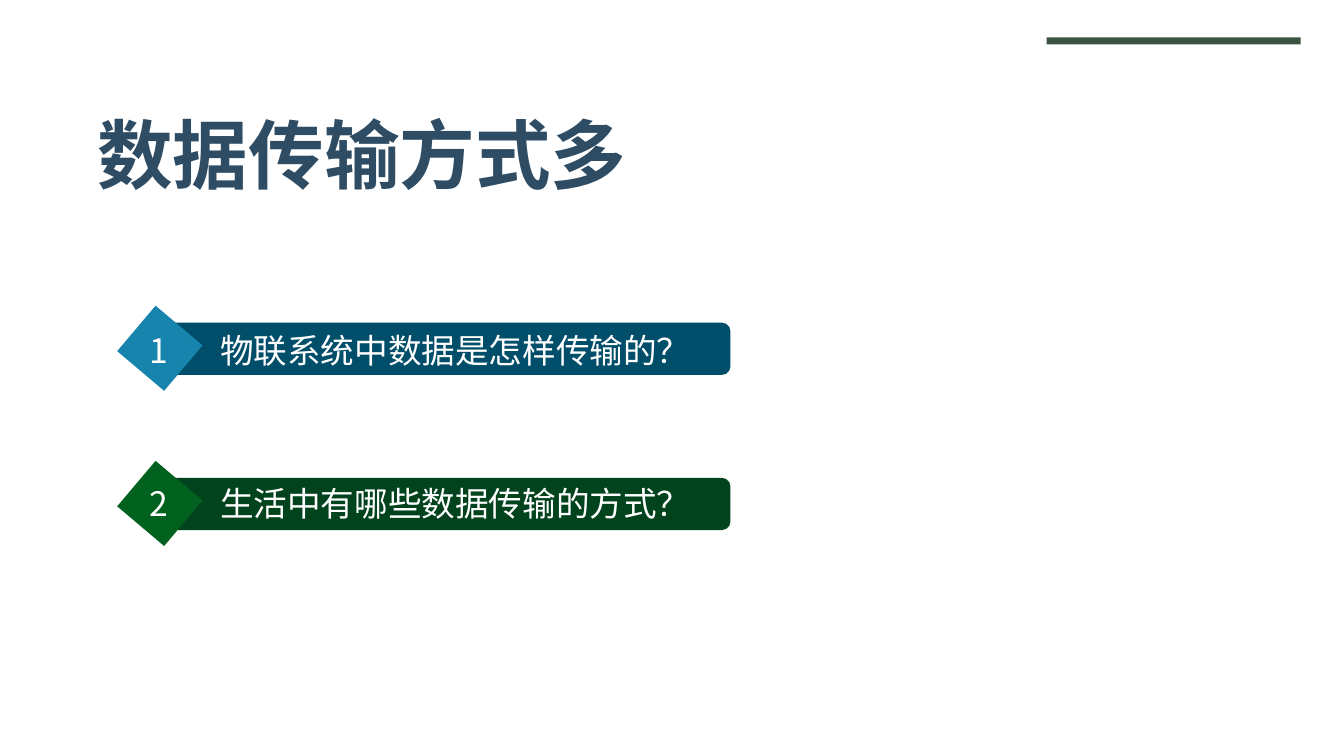
from lxml import etree
from pptx import Presentation
from pptx import util as u
from pptx.dml.color import RGBColor
from pptx.enum import shapes, text
from pptx.oxml import ns

FONT = "Noto Sans CJK SC"
COLORS = {
    "rule": "3A5542", "title": "2E4C64", "white": "FFFFFF",
    "blue_bar": "014E6A", "blue_tag": "1784AD",
    "green_bar": "01431D", "green_tag": "01621F",
}


def add_block(kind, box, color):
    sp = s.shapes.add_shape(kind, *[u.Cm(v) for v in box])
    sp.shadow.inherit = False
    sp.fill.solid()
    sp.fill.fore_color.rgb = RGBColor.from_string(COLORS[color])
    sp.line.fill.background()
    return sp


def add_text(words, box, color, **formats):
    tf = s.shapes.add_textbox(*[u.Cm(v) for v in box]).text_frame
    tf.word_wrap = True
    p = tf.paragraphs[0]
    r = p.add_run()
    r.text = words
    r.font.color.rgb = RGBColor.from_string(COLORS[color])
    for name, value in {"name": FONT, **formats}.items():
        setattr(r.font, name, value)
    # East Asian typeface
    ea = etree.SubElement(r.font._element, ns.qn("a:ea"))
    ea.set("typeface", FONT)
    return tf, p


prs = Presentation()
prs.slide_width, prs.slide_height = u.Cm(33.87), u.Cm(19.05)
s = prs.slides.add_slide(prs.slide_layouts[6])

# Corner rule
add_block(shapes.MSO_SHAPE.RECTANGLE, (26.38, 0.94, 6.4, 0.18), "rule")

# Title
tf, p = add_text("数据传输方式多", (1.32, 2.79, 15.6, 2.41), "title",
                 size=u.Pt(54), bold=True)
tf.vertical_anchor = text.MSO_ANCHOR.MIDDLE
p.alignment = text.PP_ALIGN.CENTER
p.line_spacing = 0.9

# Numbered questions: bar, tilted tag, number and text
questions = [
    ("物联系统中数据是怎样传输的？", "blue", 8.13, 8.18),
    ("生活中有哪些数据传输的方式？", "green", 12.04, 12.04),
]
for number, (question, hue, top, text_top) in enumerate(questions, 1):
    add_block(shapes.MSO_SHAPE.ROUNDED_RECTANGLE,
              (3.81, top, 14.6, 1.32), f"{hue}_bar")
    tag = add_block(shapes.MSO_SHAPE.RECTANGLE,
                    (3.28, top - 0.13, 1.5, 1.55), f"{hue}_tag")
    tag.rotation = 310.2
    tf, p = add_text(f"{number}\t{question}", (3.53, text_top, 14.9, 1.27),
                     "white", size=u.Pt(24))
    # Tab stop after the number
    tabs = etree.SubElement(p._p.get_or_add_pPr(), ns.qn("a:tabLst"))
    tab = etree.SubElement(tabs, ns.qn("a:tab"))
    tab.set("pos", str(u.Cm(1.77)))
    tab.set("algn", "l")

prs.save("out.pptx")
